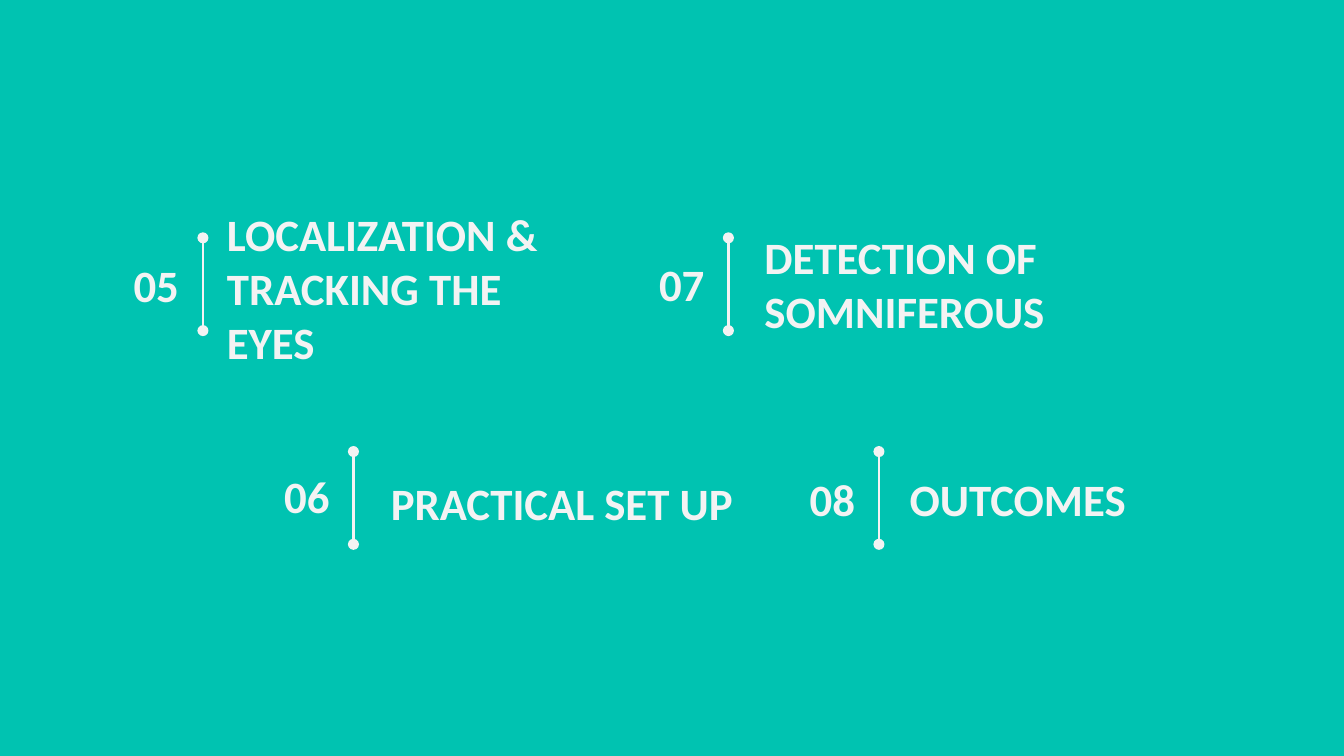
import pptx
import pptx.util
import pptx.dml.color
import pptx.enum.shapes
import pptx.enum.text
import pptx.oxml.ns
import lxml.etree

Inches = pptx.util.Inches
TEAL = pptx.dml.color.RGBColor(0x00, 0xC3, 0xB1)
OFF_WHITE = pptx.dml.color.RGBColor(0xF3, 0xF3, 0xF3)
LEFT = pptx.enum.text.PP_ALIGN.LEFT
RIGHT = pptx.enum.text.PP_ALIGN.RIGHT

FONT = {"name": "Calibri", "size": pptx.util.Pt(24), "bold": True}
INSETS = {"margin_left": Inches(0.1), "margin_right": Inches(0.1),
          "margin_top": Inches(0.1), "margin_bottom": Inches(0.1),
          "word_wrap": True,
          "vertical_anchor": pptx.enum.text.MSO_ANCHOR.MIDDLE}
BOX_HEIGHT = 0.46
NUMBER_WIDTH = 0.66
NUMBER_OFFSET = 0.74
DIVIDER_HEIGHT = 0.69

# Number, number top, divider x, divider top, title, title left, top, width
TOPICS = [
    ("05", 1.89, 1.51, 1.77, "LOCALIZATION & TRACKING THE EYES", 1.59, 1.91, 2.93),
    ("06", 3.46, 2.63, 3.36, "PRACTICAL SET UP", 2.81, 3.51, 2.78),
    ("07", 1.88, 5.42, 1.77, "DETECTION OF SOMNIFEROUS", 5.59, 1.88, 2.56),
    ("08", 3.48, 6.54, 3.36, "OUTCOMES", 6.67, 3.48, 2.56),
]


def add_label(page, text, left, top, width, alignment):
    box = page.shapes.add_textbox(Inches(left), Inches(top),
                                  Inches(width), Inches(BOX_HEIGHT))
    for name, value in INSETS.items():
        setattr(box.text_frame, name, value)
    para = box.text_frame.paragraphs[0]
    para.alignment = alignment
    span = para.add_run()
    span.text = text
    for name, value in FONT.items():
        setattr(span.font, name, value)
    span.font.color.rgb = OFF_WHITE


def add_divider(page, x, top):
    divider = page.shapes.add_connector(
        pptx.enum.shapes.MSO_CONNECTOR.STRAIGHT,
        Inches(x), Inches(top), Inches(x), Inches(top + DIVIDER_HEIGHT))
    divider.line.color.rgb = OFF_WHITE
    divider.line.width = pptx.util.Pt(1.5)
    # Round dots on both ends, no shadow
    outline = divider.line._get_or_add_ln()
    for end in ("a:headEnd", "a:tailEnd"):
        lxml.etree.SubElement(outline, pptx.oxml.ns.qn(end), type="oval")
    lxml.etree.SubElement(divider._element.spPr, pptx.oxml.ns.qn("a:effectLst"))


# Deck and page in 16:9
deck = pptx.Presentation()
deck.slide_width = Inches(10)
deck.slide_height = Inches(10 * 9 / 16)
page = deck.slides.add_slide(deck.slide_layouts[6])
page.background.fill.solid()
page.background.fill.fore_color.rgb = TEAL

# Agenda topics
for number, number_top, x, divider_top, title, left, top, width in TOPICS:
    add_label(page, number, x - NUMBER_OFFSET, number_top, NUMBER_WIDTH, RIGHT)
    add_divider(page, x, divider_top)
    add_label(page, title, left, top, width, LEFT)

deck.save("out.pptx")
